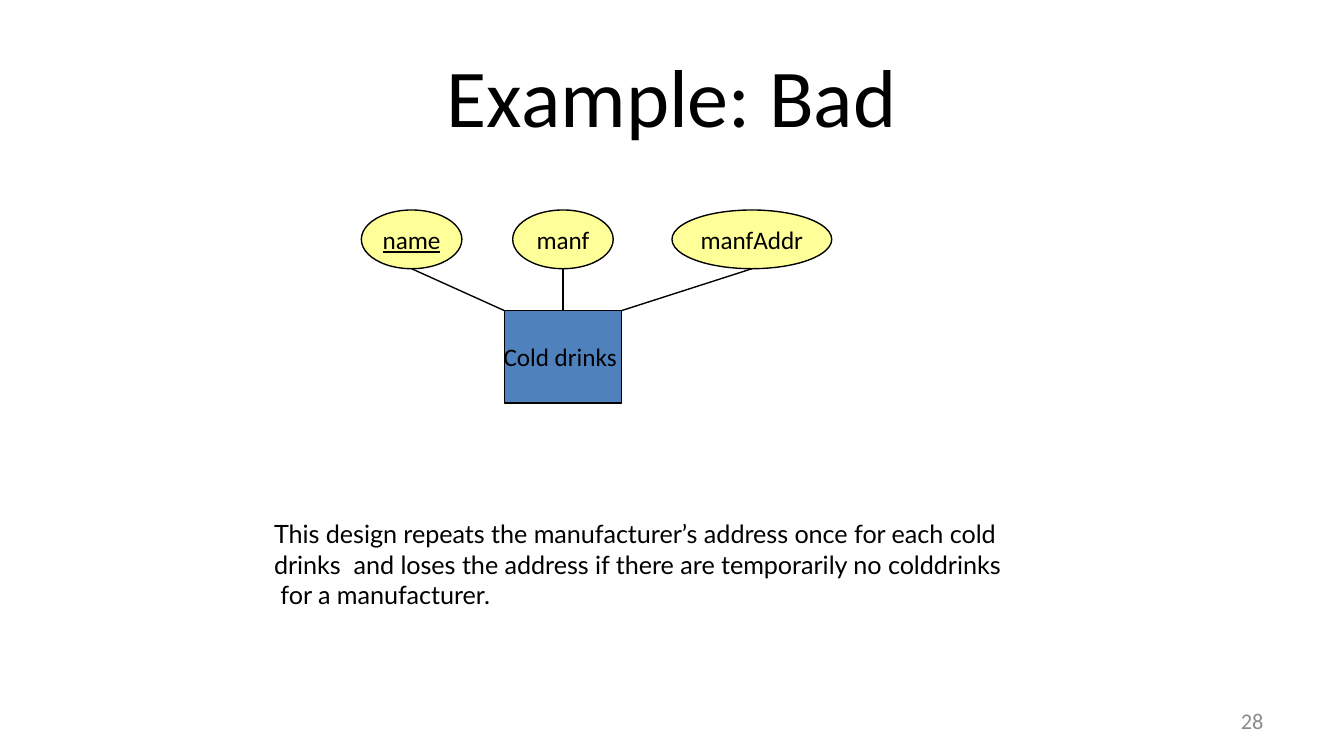
from dataclasses import dataclass

import pptx
import pptx.dml.color
import pptx.enum.shapes
import pptx.enum.text
import pptx.util
from pptx.enum.shapes import MSO_CONNECTOR, MSO_SHAPE
from pptx.enum.text import MSO_ANCHOR, PP_ALIGN
from pptx.util import Cm
import lxml.etree

BLACK = "000000"
LINE_WIDTH = pptx.util.Pt(0.75)


@dataclass
class Box:
    left: float
    top: float
    width: float
    height: float

    @property
    def right(self) -> float:
        return self.left + self.width

    @property
    def bottom(self) -> float:
        return self.top + self.height

    @property
    def center(self) -> float:
        return self.left + self.width / 2

    def lengths(self) -> list:
        return [Cm(n) for n in (self.left, self.top, self.width, self.height)]


@dataclass
class Attribute:
    label: str
    left: float
    width: float
    joins_at: float
    key: bool = False


def rgb(color: str):
    return pptx.dml.color.RGBColor.from_string(color)


def write(shape, text: str, *, size=13.5, font="Calibri", color=BLACK,
          align=PP_ALIGN.CENTER, anchor=MSO_ANCHOR.MIDDLE, wrap=True, underline=None):
    frame = shape.text_frame
    frame.word_wrap = wrap
    frame.vertical_anchor = anchor
    paragraph = frame.paragraphs[0]
    paragraph.alignment = align
    run = paragraph.add_run()
    run.text = text
    run.font.size = pptx.util.Pt(size)
    run.font.name = font
    run.font.color.rgb = rgb(color)
    run.font.underline = underline


def add_text(slide, box: Box, text: str, **style):
    write(slide.shapes.add_textbox(*box.lengths()), text, **style)


def add_node(slide, kind, box: Box, text: str, fill: str, **style):
    node = slide.shapes.add_shape(kind, *box.lengths())
    node.shadow.inherit = False
    node.fill.solid()
    node.fill.fore_color.rgb = rgb(fill)
    node.line.color.rgb = rgb(BLACK)
    node.line.width = LINE_WIDTH
    write(node, text, wrap=False, **style)


def add_link(slide, x1: float, y1: float, x2: float, y2: float):
    link = slide.shapes.add_connector(
        MSO_CONNECTOR.STRAIGHT, Cm(x1), Cm(y1), Cm(x2), Cm(y2))
    link.line.color.rgb = rgb(BLACK)
    link.line.width = LINE_WIDTH
    properties = link._element.spPr
    lxml.etree.SubElement(properties, pptx.oxml.ns.qn("a:effectLst"))


def main():
    deck = pptx.Presentation()
    deck.slide_width, deck.slide_height = Cm(25.4), Cm(14.29)
    slide = deck.slides.add_slide(deck.slide_layouts[6])

    # Title and page number
    add_text(slide, Box(1.27, 0.6, 22.86, 2.38), "Example: Bad", size=44)
    add_text(slide, Box(18.2, 13.24, 5.93, 0.76), "28", size=12,
             color="8C8C8C", align=PP_ALIGN.RIGHT)

    # Entity
    entity = Box(9.53, 5.87, 2.22, 1.75)
    add_node(slide, MSO_SHAPE.RECTANGLE, entity, "Cold drinks ", "4F81BD")

    # Attributes, each linked to the entity's top edge
    attributes = [
        Attribute("name", 6.83, 1.9, entity.left, key=True),
        Attribute("manf", 9.69, 1.9, entity.center),
        Attribute("manfAddr", 12.7, 3.02, entity.right),
    ]
    for attribute in attributes:
        oval = Box(attribute.left, 3.97, attribute.width, 1.11)
        add_node(slide, MSO_SHAPE.OVAL, oval, attribute.label, "FFFF99",
                 underline=attribute.key or None)
        add_link(slide, oval.center, oval.bottom, attribute.joins_at, entity.top)

    # Explanation
    add_text(slide, Box(4.93, 9.68, 14.33, 1.98),
             "This design repeats the manufacturer’s address once for each cold "
             "drinks  and loses the address if there are temporarily no "
             "colddrinks  for a manufacturer.",
             font="Lato", align=PP_ALIGN.LEFT, anchor=MSO_ANCHOR.TOP)

    deck.save("out.pptx")


if __name__ == "__main__":
    main()
